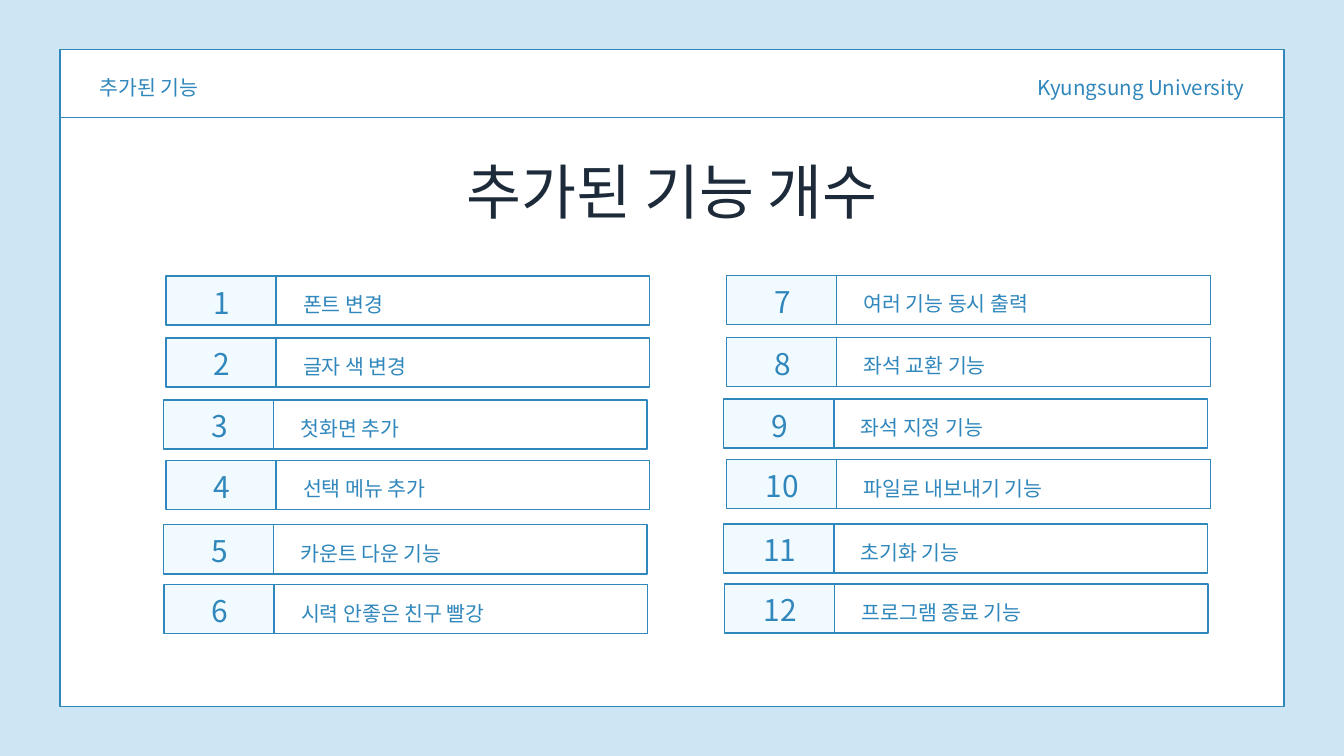
from pptx import Presentation
from pptx.dml.color import RGBColor
from pptx.enum.shapes import MSO_CONNECTOR as CONN, MSO_SHAPE as SHAPE
from pptx.enum.text import MSO_AUTO_SIZE as FIT, PP_ALIGN as AL
from pptx.oxml.ns import qn
from pptx.util import Inches, Pt
from lxml.etree import SubElement

# The grid has square cells: 200 columns and 112.5 rows.
COLS = 200
BLUE, NAVY, PALE, SKY, WHITE = "3087BB", "1D2A3A", "F1FAFF", "CEE6F4", "FFFFFF"

FEATURES = [
    ["폰트 변경", "글자 색 변경", "첫화면 추가",
     "선택 메뉴 추가", "카운트 다운 기능", "시력 안좋은 친구 빨강"],
    ["여러 기능 동시 출력", "좌석 교환 기능", "좌석 지정 기능",
     "파일로 내보내기 기능", "초기화 기능", "프로그램 종료 기능"],
]
CARD_SPOTS = [(24.7, 41.1), (24.7, 50.3), (24.3, 59.5),
              (24.7, 68.5), (24.3, 78.1), (24.4, 87)]
COLUMN_SHIFT = (83.4, -0.1)


def color(hex_code):
    return RGBColor.from_string(hex_code)


class Deck:
    font = "Noto Sans CJK KR"
    line_width = Pt(1.5)

    def __init__(self):
        self.prs = Presentation()
        self.prs.slide_width, self.prs.slide_height = Inches(20), Inches(11.25)
        self.cell = self.prs.slide_width / COLS

    def add_slide(self, background):
        self.s = self.prs.slides.add_slide(self.prs.slide_layouts[6])
        self.s.background.fill.solid()
        self.s.background.fill.fore_color.rgb = color(background)

    def grid(self, *lengths):
        return [round(n * self.cell) for n in lengths]

    def box(self, x, y, w, h, fill, parent=None):
        sp = (parent or self.s).shapes.add_shape(
            SHAPE.RECTANGLE, *self.grid(x, y, w, h))
        sp.shadow.inherit = False
        sp.fill.solid()
        sp.fill.fore_color.rgb = color(fill)
        sp.line.color.rgb = color(BLUE)
        sp.line.width = self.line_width

    def rule(self, x1, y1, x2, y2):
        line = self.s.shapes.add_connector(
            CONN.STRAIGHT, *self.grid(x1, y1, x2, y2))
        line.line.color.rgb = color(BLUE)
        line.line.width = self.line_width
        SubElement(line._element.spPr, qn("a:effectLst"))

    def text(self, words, x, y, w, h, size=22, spacing=30.8, align=AL.LEFT,
             ink=BLUE, margins=(0, 0), parent=None):
        sp = (parent or self.s).shapes.add_textbox(*self.grid(x, y, w, h))
        tf = sp.text_frame
        tf.word_wrap = True
        tf.auto_size = FIT.SHAPE_TO_FIT_TEXT
        side, end = self.grid(*margins)
        tf.margin_left = tf.margin_right = side
        tf.margin_top = tf.margin_bottom = end
        p = tf.paragraphs[0]
        p.text = words
        p.alignment = align
        p.line_spacing = Pt(spacing)
        r = p.runs[0]
        r.font.size = Pt(size)
        r.font.name = self.font
        r.font.color.rgb = color(ink)
        SubElement(r.font._element, qn("a:ea"), typeface=self.font)

    def card(self, number, label, x, y):
        """Group a numbered pale cell with its white label cell."""
        group = self.s.shapes.add_group_shape()
        self.box(x, y, 16.7, 7.3, PALE, group)
        self.box(x + 16.4, y, 55.6, 7.3, WHITE, group)
        self.text(label, x + 20.4, y + 1.6, 47.5, 4.2, spacing=31.9,
                  align=AL.JUSTIFY, parent=group)
        self.text(str(number), x + 1.7, y + 1.6, 13.3, 5.9, size=32,
                  spacing=31.9, align=AL.CENTER, margins=(1, 0.5), parent=group)


def main():
    deck = Deck()
    deck.add_slide(SKY)
    deck.box(8.9, 7.4, 182.2, 97.7, WHITE)
    deck.rule(8.9, 17.5, 191.1, 17.5)
    deck.text("Kyungsung University", 144.1, 10.6, 41.1, 4.2, align=AL.RIGHT)
    deck.text("추가된 기능", 14.8, 10.6, 32.2, 4.2)
    deck.text("추가된 기능 개수", 24.7, 21.3, 150.6, 12.6, size=64,
              spacing=89.6, align=AL.CENTER, ink=NAVY)

    dx, dy = COLUMN_SHIFT
    for col, labels in enumerate(FEATURES):
        first = col * len(labels) + 1
        for number, (label, (x, y)) in enumerate(zip(labels, CARD_SPOTS), first):
            deck.card(number, label, x + col * dx, y + col * dy)

    deck.prs.save("out.pptx")


if __name__ == "__main__":
    main()
